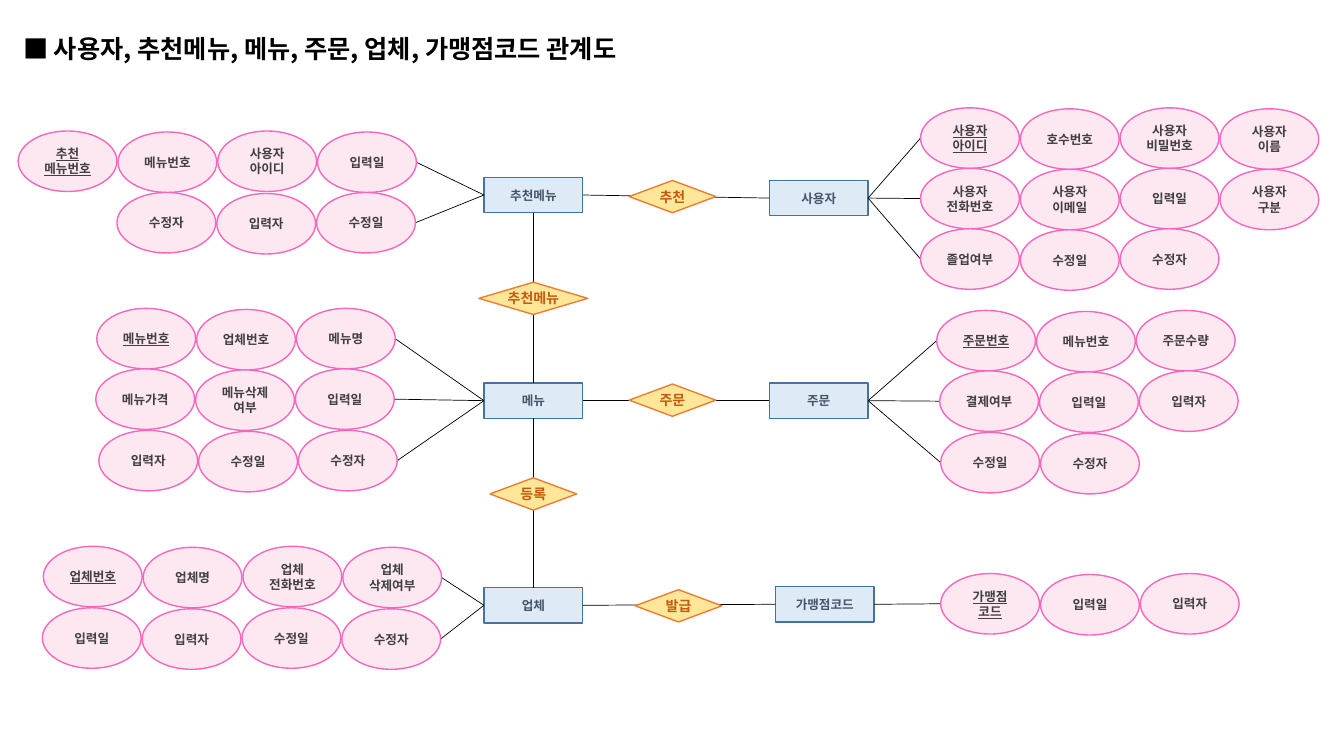
from pptx import Presentation
from pptx import util as u
from pptx.dml import color
from pptx.enum import shapes, text
from pptx.oxml import ns
from lxml import etree

FONT = "Noto Sans CJK KR"
TOP, LEFT, BOTTOM, RIGHT = range(4)  # connection sites of a rectangle
ENTITY_SIZE = (0.98, 0.35)
OVAL_SIZE = (0.98, 0.6)
DIAMOND_HEIGHT = 0.32
COLUMN_STEP = 0.99
ODD_COLUMN_DROP = 0.01

STYLES = {
    "entity": {"kind": shapes.MSO_SHAPE.RECTANGLE, "fill": "DEEBF7",
               "line": "43739E", "color": "44546A", "size": 9},
    "attribute": {"kind": shapes.MSO_SHAPE.OVAL, "fill": "FDE7F1",
                  "line": "F567BC", "color": "404040", "size": 9},
    "relation": {"kind": shapes.MSO_SHAPE.DIAMOND, "fill": "FFE699",
                 "line": "ED7D31", "color": "C55A11", "size": 10},
}

# Each entity: left, top, side of its attributes, rows of (left, top, labels).
# The first attribute of an entity is its key.
ENTITIES = {
    "추천메뉴": (4.8, 1.76, LEFT, [
        (0.18, 1.3, ["추천\n메뉴번호", "메뉴번호", "사용자\n아이디", "입력일"]),
        (1.16, 1.91, ["수정자", "입력자", "수정일"])]),
    "사용자": (7.63, 1.79, RIGHT, [
        (9.13, 1.07, ["사용자\n아이디", "호수번호", "사용자\n비밀번호", "사용자\n이름"]),
        (9.13, 1.67, ["사용자\n전화번호", "사용자\n이메일", "입력일", "사용자\n구분"]),
        (9.13, 2.27, ["졸업여부", "수정일", "수정자"])]),
    "메뉴": (4.8, 3.8, LEFT, [
        (0.96, 3.06, ["메뉴번호", "업체번호", "메뉴명"]),
        (0.95, 3.66, ["메뉴가격", "메뉴삭제\n여부", "입력일"]),
        (0.98, 4.27, ["입력자", "수정일", "수정자"])]),
    "주문": (7.63, 3.8, RIGHT, [
        (9.29, 3.08, ["주문번호", "메뉴번호", "주문수량"]),
        (9.32, 3.68, ["결제여부", "입력일", "입력자"]),
        (9.33, 4.29, ["수정일", "수정자"])]),
    "업체": (4.8, 5.83, LEFT, [
        (0.43, 5.42, ["업체번호", "업체명", "업체\n전화번호", "업체\n삭제여부"]),
        (0.42, 6.03, ["입력일", "입력자", "수정일", "수정자"])]),
    "가맹점코드": (7.69, 5.82, RIGHT, [
        (9.33, 5.69, ["가맹점\n코드", "입력일", "입력자"])]),
}

# Each relation: label, from, side, to, side, diamond left, top, width.
RELATIONS = [
    ("추천", "추천메뉴", RIGHT, "사용자", LEFT, 6.24, 1.79, 0.86),
    ("추천메뉴", "추천메뉴", BOTTOM, "메뉴", TOP, 4.75, 2.8, 1.08),
    ("주문", "메뉴", RIGHT, "주문", LEFT, 6.24, 3.81, 0.86),
    ("등록", "메뉴", BOTTOM, "업체", TOP, 4.86, 4.74, 0.86),
    ("발급", "업체", RIGHT, "가맹점코드", LEFT, 6.3, 5.85, 0.86),
]


def rgb(value):
    """Turn a hex string into a colour."""
    return color.RGBColor.from_string(value)


class Diagram:
    """Holds the styles and the current slide."""

    def __init__(self, slide, styles):
        """Keep the slide to draw on and the styles to draw with."""
        self.slide = slide
        self.styles = styles

    def label(self, frame, words, size, hex_color, **formats):
        """Fill a text frame, one paragraph for each line of the words."""
        for number, line in enumerate(words.split("\n")):
            paragraph = frame.add_paragraph() if number else frame.paragraphs[0]
            paragraph.alignment = formats.get("align", text.PP_ALIGN.CENTER)
            run = paragraph.add_run()
            run.text = line
            values = {"name": FONT, "size": u.Pt(size), "bold": True,
                      "underline": formats.get("underline")}
            for name, value in values.items():
                setattr(run.font, name, value)
            run.font.color.rgb = rgb(hex_color)
            east_asian = etree.SubElement(run.font._element, ns.qn("a:ea"))
            east_asian.set("typeface", FONT)

    def title(self, words, left, top, width, height):
        """Add the heading as a text box."""
        box = self.slide.shapes.add_textbox(*map(u.Inches, (left, top, width, height)))
        box.text_frame.word_wrap = True
        self.label(box.text_frame, words, 18, "000000", align=text.PP_ALIGN.LEFT)

    def node(self, style_name, words, left, top, width, height, underline=None):
        """Add a labelled shape in one of the styles."""
        style = self.styles[style_name]
        shape = self.slide.shapes.add_shape(
            style["kind"], *map(u.Inches, (left, top, width, height)))
        shape.shadow.inherit = False
        shape.fill.solid()
        shape.fill.fore_color.rgb = rgb(style["fill"])
        shape.line.color.rgb = rgb(style["line"])
        shape.line.width = u.Pt(1)
        frame = shape.text_frame
        values = {"margin_left": 0, "margin_right": 0, "margin_top": 0,
                  "margin_bottom": 0, "word_wrap": False,
                  "vertical_anchor": text.MSO_ANCHOR.MIDDLE}
        for name, value in values.items():
            setattr(frame, name, value)
        self.label(frame, words, style["size"], style["color"], underline=underline)
        return shape

    def connector(self, start, start_side, end_x=0, end_y=0):
        """Add a thin line from a side of a shape to a point."""
        end = u.Inches(end_x), u.Inches(end_y)
        line = self.slide.shapes.add_connector(
            shapes.MSO_CONNECTOR.STRAIGHT, *end, *end)
        line.begin_connect(start, start_side)
        line.line.color.rgb = rgb("000000")
        line.line.width = u.Pt(0.5)
        etree.SubElement(line._element.spPr, ns.qn("a:effectLst"))
        return line

    def attributes(self, entity, side, rows):
        """Add the rows of ovals of an entity, each row tied to it by a line."""
        width, height = OVAL_SIZE
        for row, (left, top, labels) in enumerate(rows):
            last = len(labels) - 1
            near_column = last if side == LEFT else 0
            near_edge = left + last * COLUMN_STEP + width if side == LEFT else left
            drop = near_column % 2 * ODD_COLUMN_DROP
            self.connector(entity, side, near_edge, top + drop + height / 2)
            for column, words in enumerate(labels):
                self.node("attribute", words, left + column * COLUMN_STEP,
                          top + column % 2 * ODD_COLUMN_DROP, width, height,
                          underline=True if row == column == 0 else None)

    def relation(self, words, start, start_side, end, end_side, left, top, width):
        """Join two entities by a line with a diamond on it."""
        self.connector(start, start_side).end_connect(end, end_side)
        self.node("relation", words, left, top, width, DIAMOND_HEIGHT)


def main():
    """Build the entity relationship slide."""
    presentation = Presentation()
    presentation.slide_width = u.Inches(13.33)
    presentation.slide_height = u.Inches(7.5)
    slide = presentation.slides.add_slide(presentation.slide_layouts[6])
    diagram = Diagram(slide, STYLES)
    diagram.title("■ 사용자, 추천메뉴, 메뉴, 주문, 업체, 가맹점코드 관계도",
                  0.13, 0.28, 7.55, 0.4)
    entities = {}
    for name, (left, top, side, rows) in ENTITIES.items():
        entities[name] = diagram.node("entity", name, left, top, *ENTITY_SIZE)
        diagram.attributes(entities[name], side, rows)
    for words, start, start_side, end, end_side, *place in RELATIONS:
        diagram.relation(words, entities[start], start_side,
                         entities[end], end_side, *place)
    presentation.save("out.pptx")


main()
